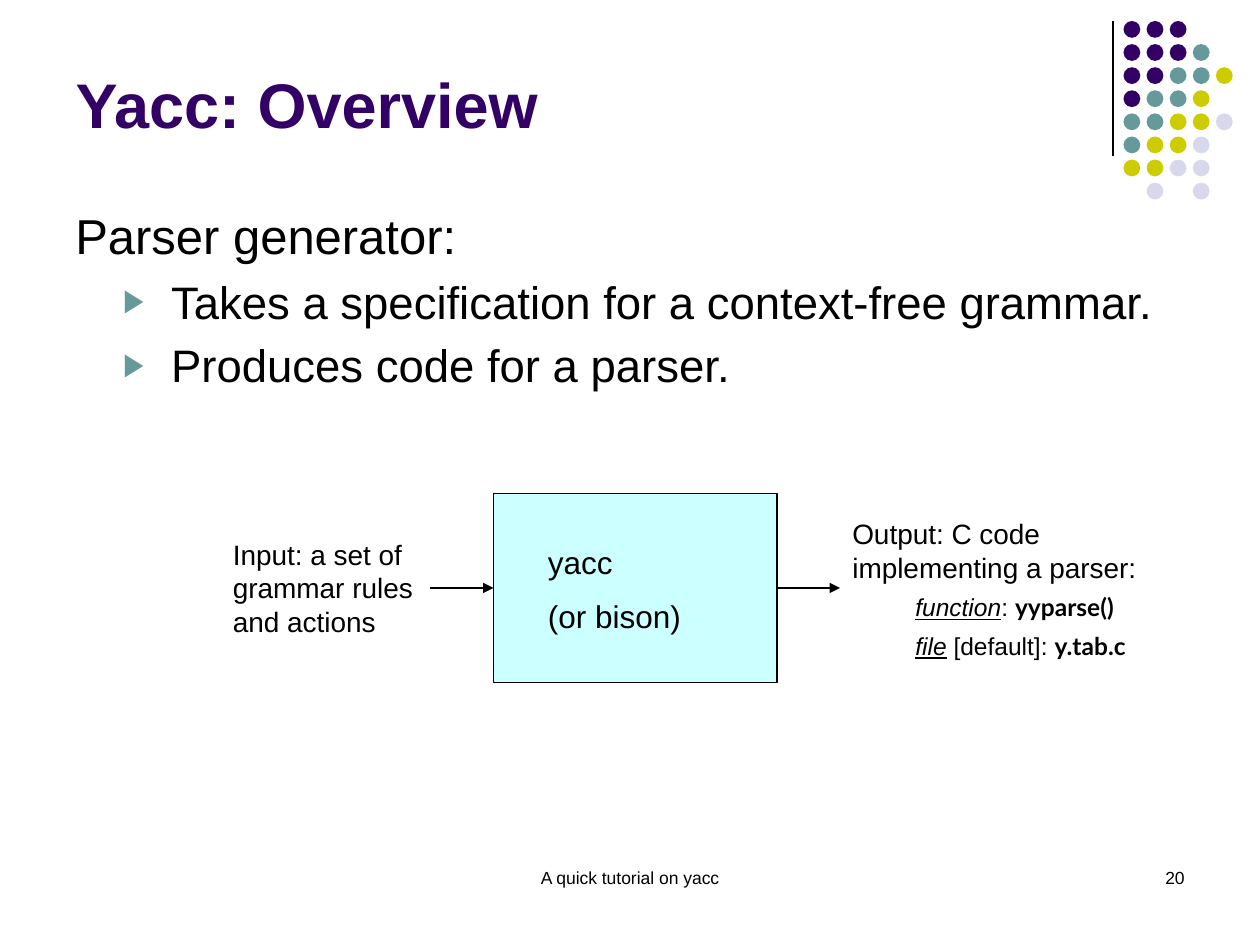
from lxml import etree
from pptx import Presentation
from pptx import util as u
from pptx.dml.color import RGBColor
from pptx.enum import shapes, text
from pptx.oxml import ns

BLACK = RGBColor(0, 0, 0)
PURPLE = RGBColor(0x33, 0, 0x66)
TEAL = RGBColor(0x66, 0x99, 0x99)
OLIVE = RGBColor(0xCC, 0xCC, 0)
LAVENDER = RGBColor(0xD8, 0xD8, 0xEC)
CYAN = RGBColor(0xCC, 0xFF, 0xFF)

WIDTH, HEIGHT = u.Inches(10), u.Inches(7.5)
COLUMNS, ROWS = 120, 90
DOT_SIZE, DOT_PITCH = 1.6, 2.2
DOT_COLORS = {"P": PURPLE, "T": TEAL, "O": OLIVE, "L": LAVENDER}
DOT_ROWS = ["PPP", "PPPT", "PPTTO", "PTTO", "TTOOL", "TOOL", "OOLL", " L L"]

PLAIN = {"name": "Arial", "bold": False, "italic": False}
TERM = {"italic": True, "underline": True}
CODE = {"name": "Lato", "bold": True}


def across(columns):
    return round(WIDTH * columns / COLUMNS)


def down(rows):
    return round(HEIGHT * rows / ROWS)


def area(left, top, width, height):
    return across(left), down(top), across(width), down(height)


def set_attributes(target, values):
    for key, value in values.items():
        setattr(target, key, value)


def add_xml(parent, tag, **attributes):
    return etree.SubElement(parent, ns.qn(tag), attributes)


def write_runs(paragraph, runs, size, color=BLACK):
    for wording, style in runs:
        run = paragraph.add_run()
        run.text = wording
        set_attributes(run.font, {**PLAIN, "size": u.Pt(size), **style})
        run.font.color.rgb = color


def indent(paragraph, margin, hanging=0):
    properties = paragraph._p.get_or_add_pPr()
    properties.set("marL", str(u.Inches(margin)))
    properties.set("indent", str(u.Inches(-hanging)))


def add_bullet(paragraph):
    properties = paragraph._p.get_or_add_pPr()
    add_xml(add_xml(properties, "a:buClr"), "a:srgbClr", val=str(TEAL))
    add_xml(properties, "a:buSzPct", val="70000")
    add_xml(properties, "a:buFont", typeface="Arial")
    add_xml(properties, "a:buChar", char="▶")


def add_text(slide, place, lines, **frame_values):
    frame = slide.shapes.add_textbox(*area(*place)).text_frame
    set_attributes(frame, {"word_wrap": True, **frame_values})
    for index, (runs, size, values) in enumerate(lines):
        paragraph = frame.paragraphs[0] if index == 0 else frame.add_paragraph()
        set_attributes(paragraph, values)
        write_runs(paragraph, runs, size)
    return frame.paragraphs


def add_line(slide, start, end, arrow=False):
    line = slide.shapes.add_connector(
        shapes.MSO_CONNECTOR.STRAIGHT,
        across(start[0]), down(start[1]), across(end[0]), down(end[1]))
    line.line.color.rgb = BLACK
    line.line.width = u.Pt(0.75)
    if arrow:
        add_xml(line.line._get_or_add_ln(), "a:tailEnd", type="triangle")
    add_xml(line._element.spPr, "a:effectLst")


def add_filled(parent, kind, place, color):
    shape = parent.shapes.add_shape(kind, *area(*place))
    shape.shadow.inherit = False
    shape.fill.solid()
    shape.fill.fore_color.rgb = color
    shape.line.fill.background()
    return shape


def add_dots(slide):
    dots = slide.shapes.add_group_shape()
    for row, pattern in enumerate(DOT_ROWS):
        for column, key in enumerate(pattern):
            if key in DOT_COLORS:
                place = (107 + column * DOT_PITCH, 2 + row * DOT_PITCH, DOT_SIZE, DOT_SIZE)
                add_filled(dots, shapes.MSO_SHAPE.OVAL, place, DOT_COLORS[key])


def add_title(slide, wording):
    title = slide.shapes.title
    title.left, title.top, title.width, title.height = area(6, 1.6, 99, 12.4)
    title.text_frame.vertical_anchor = text.MSO_ANCHOR.BOTTOM
    paragraph = title.text_frame.paragraphs[0]
    paragraph.alignment = text.PP_ALIGN.LEFT
    write_runs(paragraph, [(wording, {"bold": True})], 36, PURPLE)


def add_body(slide):
    point = {"level": 1, "space_before": u.Pt(5.2)}
    heading, *points = add_text(slide, (6, 19, 108, 61.4), [
        ([("Parser generator:", {})], 28, {"space_before": u.Pt(5.6)}),
        ([("Takes a specification for a context-free grammar.", {})], 26, point),
        ([("Produces code for a parser.", {})], 26, point),
    ])
    indent(heading, 0.38, 0.38)
    for paragraph in points:
        indent(paragraph, 0.76, 0.38)
        add_bullet(paragraph)


def add_flow(slide):
    generator = add_filled(slide, shapes.MSO_SHAPE.RECTANGLE, (47, 47, 27, 18), CYAN)
    generator.line.color.rgb = BLACK
    generator.line.width = u.Pt(0.75)
    add_text(slide, (21, 50.6, 22.2, 10.8), [
        ([("Input: a set of grammar rules and actions", {})], 16, {})])
    detail = {"level": 1, "line_spacing": 1.3}
    _, *details = add_text(slide, (80, 48.6, 30, 14.9), [
        ([("Output: C code implementing a parser:", {})], 16, {}),
        ([("function", TERM), (": ", {}), ("yyparse()", CODE)], 14, detail),
        ([("file", TERM), (" [default]: ", {}), ("y.tab.c", CODE)], 14, detail),
    ])
    for paragraph in details:
        indent(paragraph, 0.5)
    for start in (74, 41):
        add_line(slide, (start, 56), (start + 6, 56), arrow=True)
    spaced = {"space_before": u.Pt(9)}
    add_text(slide, (51, 51, 18.7, 10.2), [
        ([("yacc", {})], 18, spaced),
        ([("(or bison)", {})], 18, spaced),
    ], word_wrap=False, vertical_anchor=text.MSO_ANCHOR.MIDDLE)


def add_footer(slide):
    for place, wording, alignment in (
            ((41, 82, 38, 6), "A quick tutorial on yacc", text.PP_ALIGN.CENTER),
            ((86, 82, 28, 6), "20", text.PP_ALIGN.RIGHT)):
        add_text(slide, place, [([(wording, {})], 10, {"alignment": alignment})])


def main():
    deck = Presentation()
    set_attributes(deck, {"slide_width": WIDTH, "slide_height": HEIGHT})
    slide = deck.slides.add_slide(deck.slide_layouts[5])
    add_line(slide, (106, 2), (106, 14.9))
    add_dots(slide)
    add_footer(slide)
    add_title(slide, "Yacc: Overview")
    add_body(slide)
    add_flow(slide)
    deck.save("out.pptx")


main()
